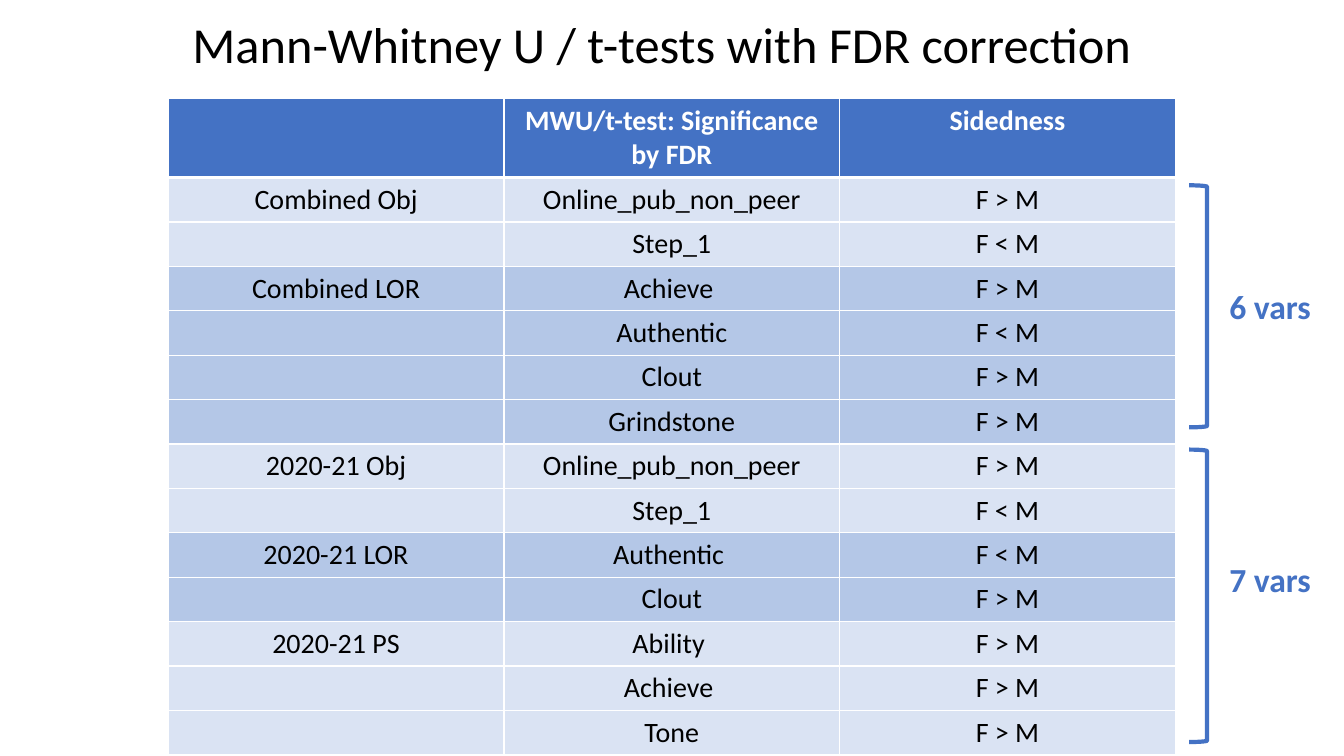
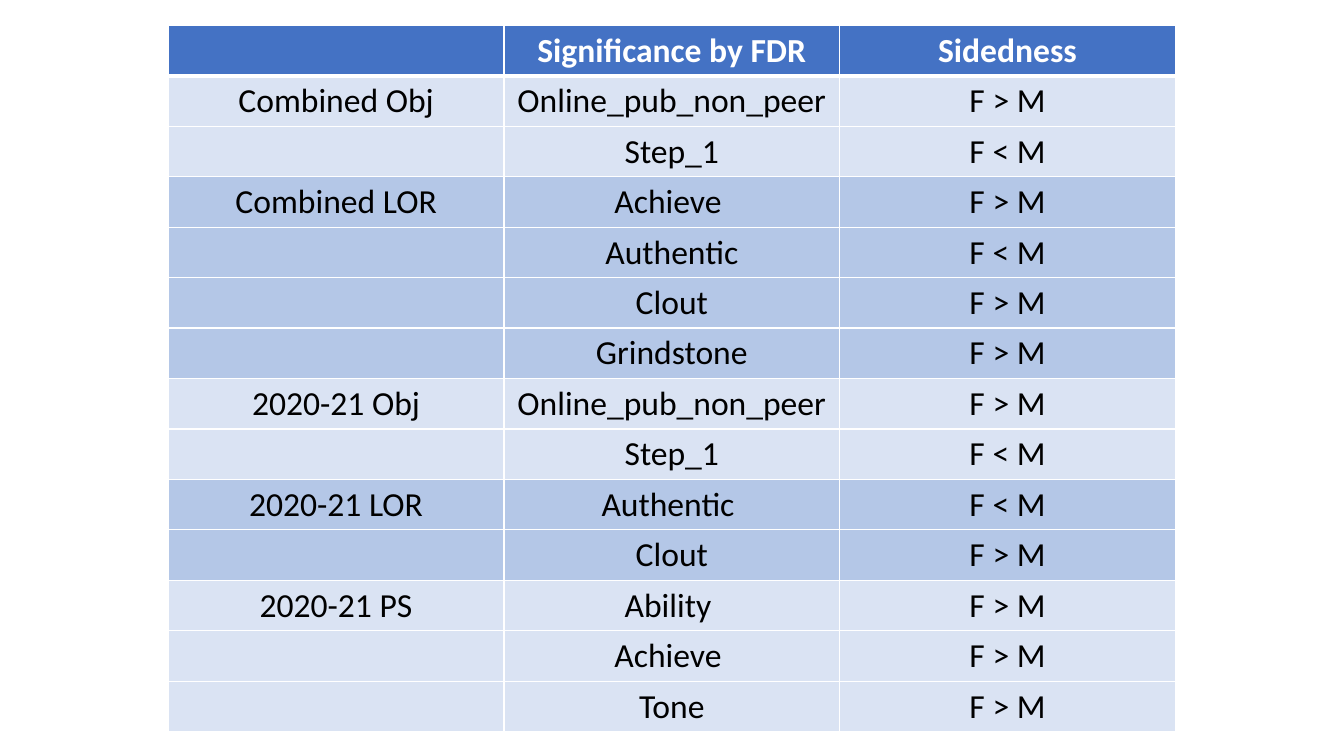
import dataclasses

import lxml.etree
import pptx
import pptx.dml.color
import pptx.enum.shapes
import pptx.enum.text
import pptx.oxml.ns
import pptx.util

Cm = pptx.util.Cm
Pt = pptx.util.Pt
Rgb = pptx.dml.color.RGBColor.from_string
Align = pptx.enum.text.PP_ALIGN


@dataclasses.dataclass(frozen=True)
class Theme:
    font: str = "Calibri"
    blue: str = "4472C4"
    bands: tuple = ("DAE3F3", "B4C7E7")
    white: str = "FFFFFF"
    black: str = "000000"
    title: int = 36
    large: int = 24
    small: int = 20
    thin: int = 1
    thick: int = 3


THEME = Theme()
LEFT, WIDTH = Cm(4.24), Cm(25.38)

# Each group shares one band colour; its label stands in the first row.
GROUPS = [
    ("Combined Obj", [("Online_pub_non_peer", "F > M"), ("Step_1", "F < M")]),
    ("Combined LOR", [("Achieve ", "F > M"), ("Authentic", "F < M"),
                      ("Clout", "F > M"), ("Grindstone", "F > M")]),
    ("2020-21 Obj", [("Online_pub_non_peer", "F > M"), ("Step_1", "F < M")]),
    ("2020-21 LOR", [("Authentic ", "F < M"), ("Clout", "F > M")]),
    ("2020-21 PS", [("Ability ", "F > M"), ("Achieve ", "F > M"),
                    ("Tone", "F > M")]),
]


def add_run(para, text, size, color, bold=False):
    run = para.add_run()
    run.text = text
    font = run.font
    font.name, font.size, font.bold = THEME.font, Pt(size), bold
    font.color.rgb = Rgb(color)


def add_label(slide, box, text, size, color, bold=False, wrap=True):
    frame = slide.shapes.add_textbox(*box).text_frame
    frame.word_wrap = wrap
    para = frame.paragraphs[0]
    add_run(para, text, size, color, bold)
    return para


def set_edges(cell, top, bottom):
    """Draw white cell borders; must run before the cell is filled."""
    props = cell._tc.get_or_add_tcPr()
    widths = {"L": THEME.thin, "R": THEME.thin, "T": top, "B": bottom}
    qn = pptx.oxml.ns.qn
    for side, width in widths.items():
        line = lxml.etree.SubElement(props, qn(f"a:ln{side}"), w=str(Pt(width)))
        fill = lxml.etree.SubElement(line, qn("a:solidFill"))
        lxml.etree.SubElement(fill, qn("a:srgbClr"), val=THEME.white)


def list_rows(heads):
    """Yield the texts and fill colour of each table row."""
    yield ("", *heads), THEME.blue
    for num, (label, items) in enumerate(GROUPS):
        for pos, item in enumerate(items):
            yield ("" if pos else label, *item), THEME.bands[num % 2]


def add_grid(slide, top, heads, size, head_high, row_high):
    rows = list(list_rows(heads))
    high = head_high + row_high * (len(rows) - 1)
    table = slide.shapes.add_table(
        len(rows), len(rows[0][0]), LEFT, top, WIDTH, high).table
    table.first_row = table.horz_banding = False
    for num, (texts, color) in enumerate(rows):
        head = num == 0
        table.rows[num].height = head_high if head else row_high
        for col, text in enumerate(texts):
            cell = table.cell(num, col)
            set_edges(cell, THEME.thick if num == 1 else THEME.thin,
                      THEME.thick if head else THEME.thin)
            cell.fill.solid()
            cell.fill.fore_color.rgb = Rgb(color)
            para = cell.text_frame.paragraphs[0]
            para.alignment = Align.CENTER
            para.font.size = Pt(size)
            if text:
                add_run(para, text, size,
                        THEME.white if head else THEME.black, head)


def add_brace(slide, box, text, drop):
    """Add a right bracket in box, with a label starting drop below its top."""
    left, top, wide, high = box
    kind = pptx.enum.shapes.MSO_SHAPE.RIGHT_BRACKET
    shape = slide.shapes.add_shape(kind, left, top, wide, high)
    shape.shadow.inherit = False
    shape.fill.background()
    shape.line.color.rgb = Rgb(THEME.blue)
    shape.line.width = Pt(THEME.thick)
    place = (left + Cm(0.76), top + drop, Cm(2.6), Cm(1.27))
    add_label(slide, place, text, THEME.large, THEME.blue, True, False)


def add_tests(slide):
    add_grid(slide, Cm(2.49), ("MWU/t-test: Significance by FDR", "Sidedness"),
             THEME.small, Cm(1.94), Cm(1.1))
    title = add_label(slide, (Cm(4.6), Cm(0.38), Cm(24.66), Cm(2.18)),
                      "Mann-Whitney U / t-tests with FDR correction",
                      THEME.title, THEME.black)
    title.line_spacing = 0.9
    for top, high, text, drop in ((4.67, 6.1, "6 vars", 2.42),
                                  (11.33, 7.37, "7 vars", 2.62)):
        add_brace(slide, (Cm(29.97), Cm(top), Cm(0.45), Cm(high)),
                  text, Cm(drop))


def add_summary(slide):
    add_grid(slide, Cm(0.64), ("Significance by FDR", "Sidedness"),
             THEME.large, Cm(1.27), Cm(1.27))


def main():
    deck = pptx.Presentation()
    deck.slide_width, deck.slide_height = Cm(33.87), Cm(19.05)
    for build in (add_tests, add_summary):
        build(deck.slides.add_slide(deck.slide_layouts[6]))
    deck.save("out.pptx")


if __name__ == "__main__":
    main()
